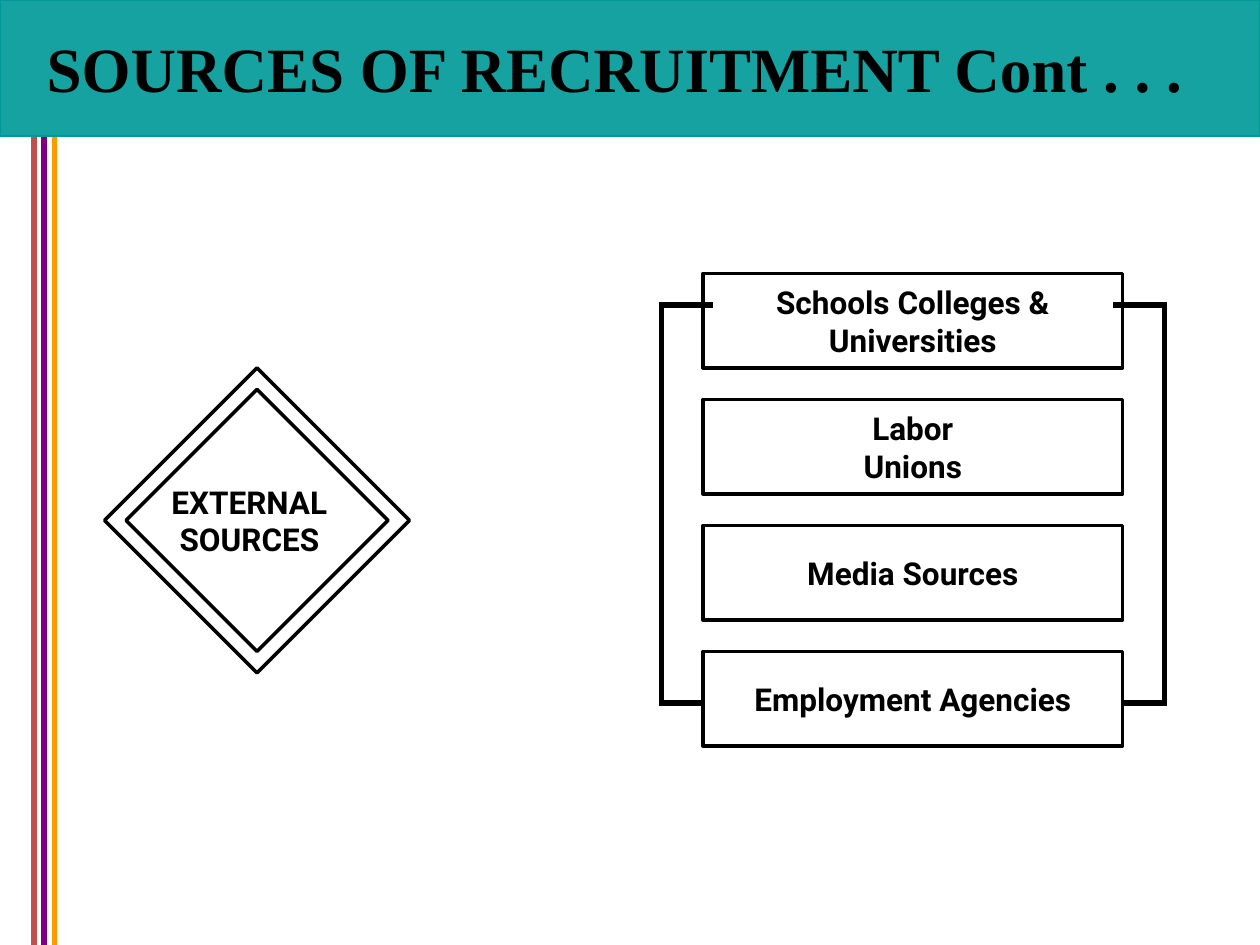
from pptx import Presentation
from pptx.dml.color import RGBColor
from pptx.enum.shapes import MSO_CONNECTOR, MSO_SHAPE
from pptx.enum.text import MSO_ANCHOR, PP_ALIGN
from pptx.oxml.ns import qn
from pptx.util import Inches, Pt
from lxml import etree

RECTANGLE, DIAMOND = MSO_SHAPE.RECTANGLE, MSO_SHAPE.DIAMOND
STRAIGHT = MSO_CONNECTOR.STRAIGHT
MIDDLE = MSO_ANCHOR.MIDDLE
LEFT, CENTER = PP_ALIGN.LEFT, PP_ALIGN.CENTER
BLACK, TEAL = "000000", "009999"
PAGE_WIDTH, PAGE_HEIGHT, BANNER_HEIGHT = 10, 7.5, 1.08
TITLE_ONLY = 5


def color(hex_text):
    return RGBColor.from_string(hex_text)


def add_line(page, x1, y1, x2, y2, line_color=BLACK):
    line = page.shapes.add_connector(
        STRAIGHT, Inches(x1), Inches(y1), Inches(x2), Inches(y2))
    line.line.color.rgb = color(line_color)
    line.line.width = Pt(3)
    etree.SubElement(line._element.spPr, qn("a:effectLst"))


def add_outline(page, kind, left, top, width, height):
    """Add an unfilled black preset shape."""
    shape = page.shapes.add_shape(
        kind, Inches(left), Inches(top), Inches(width), Inches(height))
    shape.shadow.inherit = False
    shape.fill.background()
    shape.line.color.rgb = color(BLACK)
    shape.line.width = Pt(2)
    return shape


def write(shape, text, size, font_name, align, side_margin=0):
    frame = shape.text_frame
    frame.word_wrap = True
    frame.vertical_anchor = MIDDLE
    frame.margin_left = frame.margin_right = Inches(side_margin)
    frame.margin_top = frame.margin_bottom = 0
    frame.text = text
    for para in frame.paragraphs:
        para.alignment = align
        for span in para.runs:
            span.font.name = font_name
            span.font.size = Pt(size)
            span.font.bold = True
            span.font.color.rgb = color(BLACK)


def add_banner(page, left, top, width, height):
    banner = add_outline(page, RECTANGLE, left, top, width, height)
    banner.fill.solid()
    banner.fill.fore_color.rgb = color(TEAL)
    fill_color = banner._element.spPr.find(".//" + qn("a:srgbClr"))
    etree.SubElement(fill_color, qn("a:alpha"), val="91000")
    banner.line.color.rgb = color(TEAL)
    banner.line.width = Pt(1)

    title = page.shapes.title
    title.left, title.top = Inches(left + 0.37), Inches(top + 0.22)
    title.width, title.height = Inches(width - 0.7), Inches(0.63)
    write(title, "SOURCES OF RECRUITMENT Cont . . .", 36, "Times New Roman", LEFT)
    banner._element.addnext(title._element)


def add_stripes(page, left, top, bottom):
    for index, stripe_color in enumerate(("C0504D", "800080", "FF9900")):
        x = left + index * 0.08
        add_line(page, x, top, x, bottom, stripe_color)


def add_double_diamond(page, left, top, size, gap):
    add_outline(page, DIAMOND, left, top, size, size)
    inner_size = size - 2 * gap
    add_outline(page, DIAMOND, left + gap, top + gap, inner_size, inner_size)
    label_width, label_height = 1.6, 0.63
    label = page.shapes.add_textbox(
        Inches(left + (size - label_width) / 2 - 0.06),
        Inches(top + (size - label_height) / 2),
        Inches(label_width), Inches(label_height))
    write(label, "EXTERNAL\nSOURCES", 18, "Roboto", CENTER)


def add_source_list(page, left, top, width, box_height, pitch):
    """Stack the source boxes and bracket the first to the last."""
    sources = (("Schools Colleges & Universities", 0.5), ("Labor Unions", 1.1),
               ("Media Sources", 0.2), ("Employment Agencies", 0.2))
    for index, (name, side_margin) in enumerate(sources):
        box = add_outline(
            page, RECTANGLE, left, top + index * pitch, width, box_height)
        write(box, name, 18, "Roboto", CENTER, side_margin)

    first_y = top + 0.25
    last_y = top + (len(sources) - 1) * pitch + 0.41
    for edge, outward in ((left, -1), (left + width, 1)):
        rail = edge + outward * 0.33
        add_line(page, rail, first_y, edge - outward * 0.08, first_y)
        add_line(page, rail, first_y - 0.02, rail, last_y + 0.02)
        add_line(page, rail, last_y, edge, last_y)


def main():
    deck = Presentation()
    deck.slide_width, deck.slide_height = Inches(PAGE_WIDTH), Inches(PAGE_HEIGHT)
    page = deck.slides.add_slide(deck.slide_layouts[TITLE_ONLY])
    add_stripes(page, 0.27, BANNER_HEIGHT, PAGE_HEIGHT)
    add_banner(page, 0, 0, PAGE_WIDTH, BANNER_HEIGHT)
    add_double_diamond(page, 0.83, 2.92, 2.42, 0.17)
    add_source_list(page, 5.58, 2.17, 3.33, 0.75, 1)
    deck.save("out.pptx")


if __name__ == "__main__":
    main()
